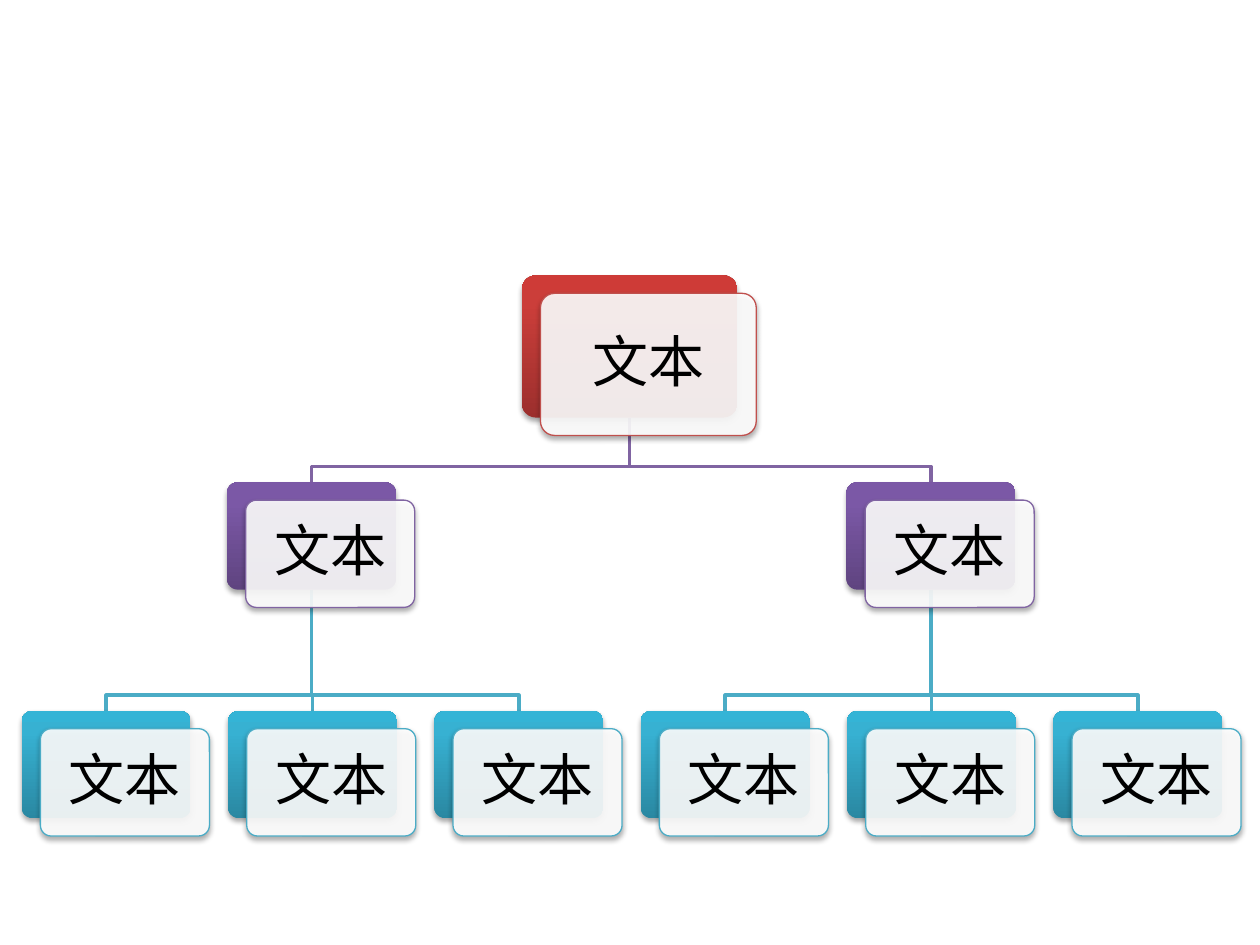
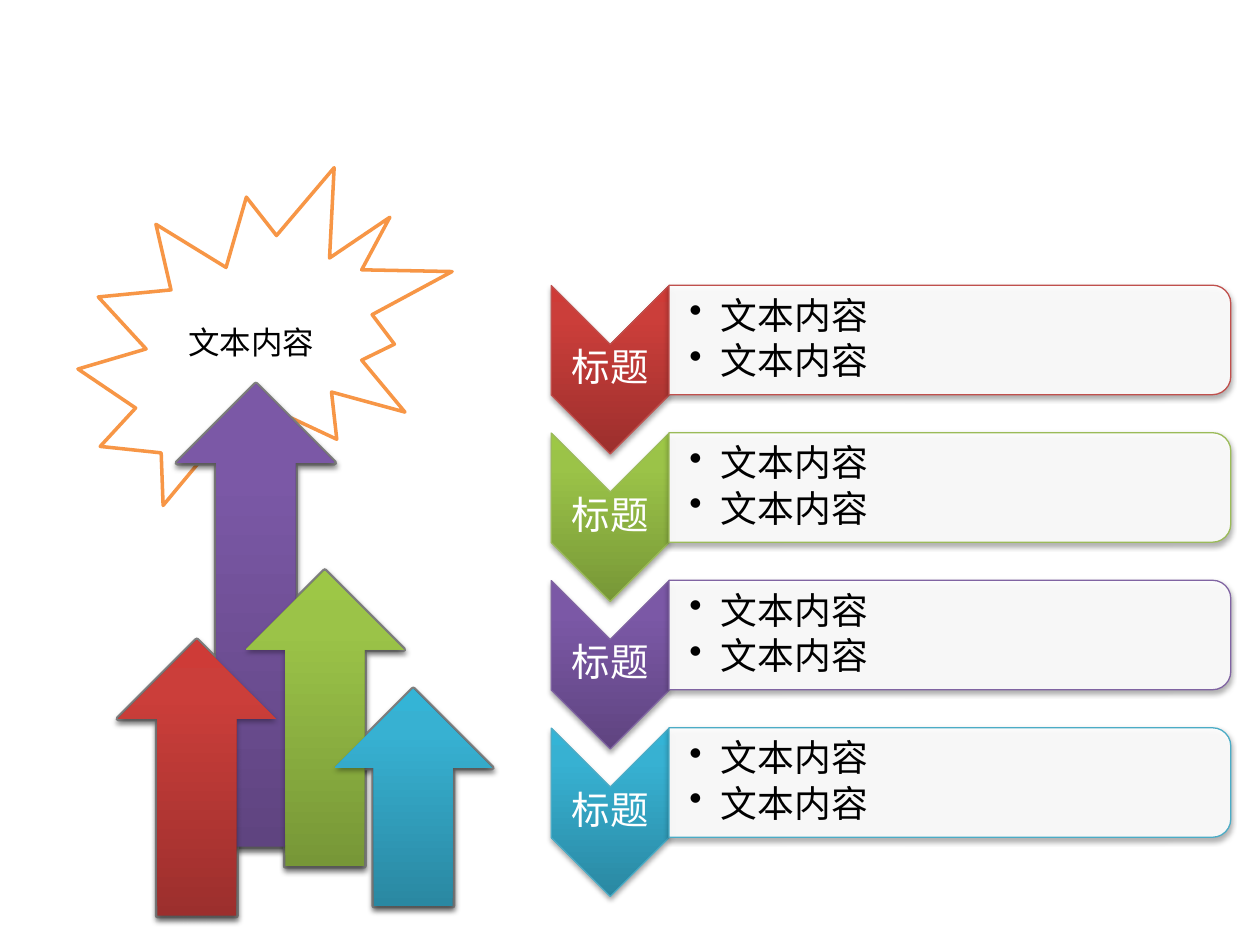
from lxml import etree
from pptx import Presentation
from pptx import util as u
from pptx.dml.color import RGBColor
from pptx.enum import shapes, text
from pptx.oxml import ns

FONT = "Calibri"
# Accent line colour, then the gradient from bottom to top
ACCENTS = {
    "red": ("C0504D", "9C2F2D", "CB3E3A", "CE3B37"),
    "green": ("9BBB59", "779737", "9BC348", "9DC746"),
    "purple": ("8064A2", "5F4480", "7B58A6", "7C57A8"),
    "blue": ("4BACC6", "2A88A2", "37B1D2", "34B4D6"),
}
KIND = shapes.MSO_SHAPE


def color(value):
    return RGBColor.from_string(value)


def add_xml(parent, tag, **attributes):
    return etree.SubElement(parent, ns.qn(tag), attributes)


def write(frame, lines, size, fill="000000", align=text.PP_ALIGN.CENTER, insets=None,
          spacing=None, after=None, bullet=False):
    """Fill a text frame with one paragraph per line."""
    frame.word_wrap = True
    frame.vertical_anchor = text.MSO_ANCHOR.MIDDLE
    if insets:
        (frame.margin_left, frame.margin_top,
         frame.margin_right, frame.margin_bottom) = map(u.Pt, insets)
    for index, line in enumerate(lines):
        para = frame.add_paragraph() if index else frame.paragraphs[0]
        para.alignment = align
        para.line_spacing = spacing
        if after:
            para.space_after = u.Pt(size * after)
        if bullet:
            para.level = 1
            properties = para._p.get_or_add_pPr()
            properties.set("marL", str(u.Pt(18)))
            properties.set("indent", str(u.Pt(-18)))
            add_xml(properties, "a:buChar", char="•")
        span = para.add_run()
        span.text = line
        span.font.name = FONT
        span.font.size = u.Pt(size)
        span.font.color.rgb = color(fill)


class Painter:
    """Holds the shared style and the current slide."""

    def __init__(self, deck):
        self.deck = deck
        self.page = None

    def new_page(self):
        self.page = self.deck.slides.add_slide(self.deck.slide_layouts[6])

    def shape(self, kind, left, top, width, height, fill="FFFFFF", line=None,
              weight=0.75, shadow=None, opacity=None, turn=0, corner=None):
        """Add a preset shape; fill is a hex colour or an accent name."""
        box = self.page.shapes.add_shape(kind, *map(u.Pt, (left, top, width, height)))
        box.rotation = turn
        if corner is not None:
            box.adjustments[0] = corner
        if fill in ACCENTS:
            self.gradient(box, ACCENTS[fill][1:])
        else:
            box.fill.solid()
            box.fill.fore_color.rgb = color(fill)
            if opacity:
                tone = box._element.spPr.find(".//" + ns.qn("a:srgbClr"))
                add_xml(tone, "a:alpha", val=str(opacity * 1000))
        if line:
            box.line.color.rgb = color(line)
            box.line.width = u.Pt(weight)
        else:
            box.line.fill.background()
        box.shadow.inherit = False
        if shadow:
            self.drop_shadow(box, shadow)
        return box

    def gradient(self, box, tones):
        box.fill.gradient()
        box.fill.gradient_angle = 90
        paint = box._element.spPr.find(ns.qn("a:gradFill"))
        paint.set("rotWithShape", "0")
        stops = paint.find(ns.qn("a:gsLst"))
        for stop in list(stops):
            stops.remove(stop)
        for place, tone in zip((0, 80, 100), tones):
            add_xml(add_xml(stops, "a:gs", pos=str(place * 1000)), "a:srgbClr", val=tone)

    def drop_shadow(self, box, opacity):
        effects = box._element.spPr.find(ns.qn("a:effectLst"))
        shade = add_xml(effects, "a:outerShdw", blurRad=str(u.Pt(3.1)), dist=str(u.Pt(1.8)),
                        dir="5400000", rotWithShape="0")
        add_xml(add_xml(shade, "a:srgbClr", val="000000"), "a:alpha", val=str(opacity * 1000))

    def accent(self, kind, place, name, **style):
        return self.shape(kind, *place, fill=name, shadow=35, **style)

    def panel(self, kind, place, name, **style):
        """Add a translucent white shape with an accent outline."""
        return self.shape(kind, *place, line=ACCENTS[name][0], opacity=90, shadow=35, **style)

    def label(self, place, lines, size, **style):
        box = self.page.shapes.add_textbox(*map(u.Pt, place))
        write(box.text_frame, lines, size, spacing=0.9, **style)

    def branch(self, start, end, name):
        """Add an elbow line that turns shortly above its end."""
        (x1, y1), (x2, y2) = start, end
        turn = y2 - 9
        points = [(u.Pt(x), u.Pt(y)) for x, y in ((x1, y1), (x1, turn), (x2, turn), (x2, y2))]
        builder = self.page.shapes.build_freeform(*points[0])
        builder.add_line_segments(points[1:], close=False)
        line = builder.convert_to_shape()
        line.fill.background()
        line.line.color.rgb = color(ACCENTS[name][0])
        line.line.width = u.Pt(2)
        line.shadow.inherit = False

    def card(self, center, top, size, name, caption):
        """Add a coloured card with a captioned white card in front of it."""
        width, height = size
        left = center - width / 2
        front = (left + 10.7, top + 10.2, width, height)
        self.accent(KIND.ROUNDED_RECTANGLE, (left, top, width, height), name, corner=0.1)
        self.panel(KIND.ROUNDED_RECTANGLE, front, name, corner=0.1)
        inner = (front[0] + 1.9, front[1] + 1.9, width - 3.8, height - 3.8)
        self.label(inner, [caption], 32, insets=[9.4] * 4, after=0.35)


def draw_tree(painter):
    painter.new_page()
    root, root_top, root_size = 359.8, 157.4, (123.3, 81.2)
    parents, parent_top, size = (178, 532), 275.6, (96.6, 61.3)
    children, child_top = [60.7 + 117.9 * i for i in range(6)], 406.2

    # Branches
    for index, parent in enumerate(parents):
        painter.branch((root, root_top + root_size[1]), (parent, parent_top), "purple")
        for child in children[3 * index:3 * index + 3]:
            painter.branch((parent, parent_top + size[1]), (child, child_top), "blue")

    # Cards
    painter.card(root, root_top, root_size, "red", "文本")
    for parent in parents:
        painter.card(parent, parent_top, size, "purple", "文本")
    for child in children:
        painter.card(child, child_top, size, "blue", "文本")


def draw_arrows(painter):
    painter.new_page()

    # Starburst
    burst = painter.shape(KIND.EXPLOSION2, 44.6, 95.8, 213.8, 193, line="F79646", weight=2)
    write(burst.text_frame, ["文本内容"], 18)

    # Rising arrows: grey outlines behind, colours in front
    arrows = {
        "purple": (101.2, 219.6, 90, 264.2),
        "red": (67.5, 365.8, 90, 157.5),
        "green": (140.6, 326.2, 90, 168.7),
        "blue": (191.2, 393.8, 90, 123.8),
    }
    for place in arrows.values():
        painter.shape(KIND.UP_ARROW, *place, fill="A6A6A6", line="808080", weight=3, shadow=38)
    for name, place in arrows.items():
        painter.accent(KIND.UP_ARROW, place, name)

    # Chevron list
    for row, name in enumerate(ACCENTS):
        top = 163 + 84.3 * row
        painter.accent(KIND.CHEVRON, (300.6, top + 14.6, 96.2, 67.4), name,
                       line=ACCENTS[name][0], turn=90)
        painter.label((315, top + 33.7, 67.4, 28.9), ["标题"], 22, fill="FFFFFF",
                      insets=[1.1] * 4, after=0.35)
        painter.panel(KIND.ROUND_2_SAME_RECTANGLE, (511.5, top - 129.2, 62.6, 321), name, turn=90)
        painter.label((382.4, top + 3.1, 318, 56.4), ["文本内容"] * 2, 21,
                      align=text.PP_ALIGN.LEFT, insets=[11.5, 1, 1, 1], after=0.15, bullet=True)


def main():
    deck = Presentation()
    deck.slide_width, deck.slide_height = u.Pt(720), u.Pt(540)
    painter = Painter(deck)
    draw_tree(painter)
    draw_arrows(painter)
    deck.save("out.pptx")


if __name__ == "__main__":
    main()
